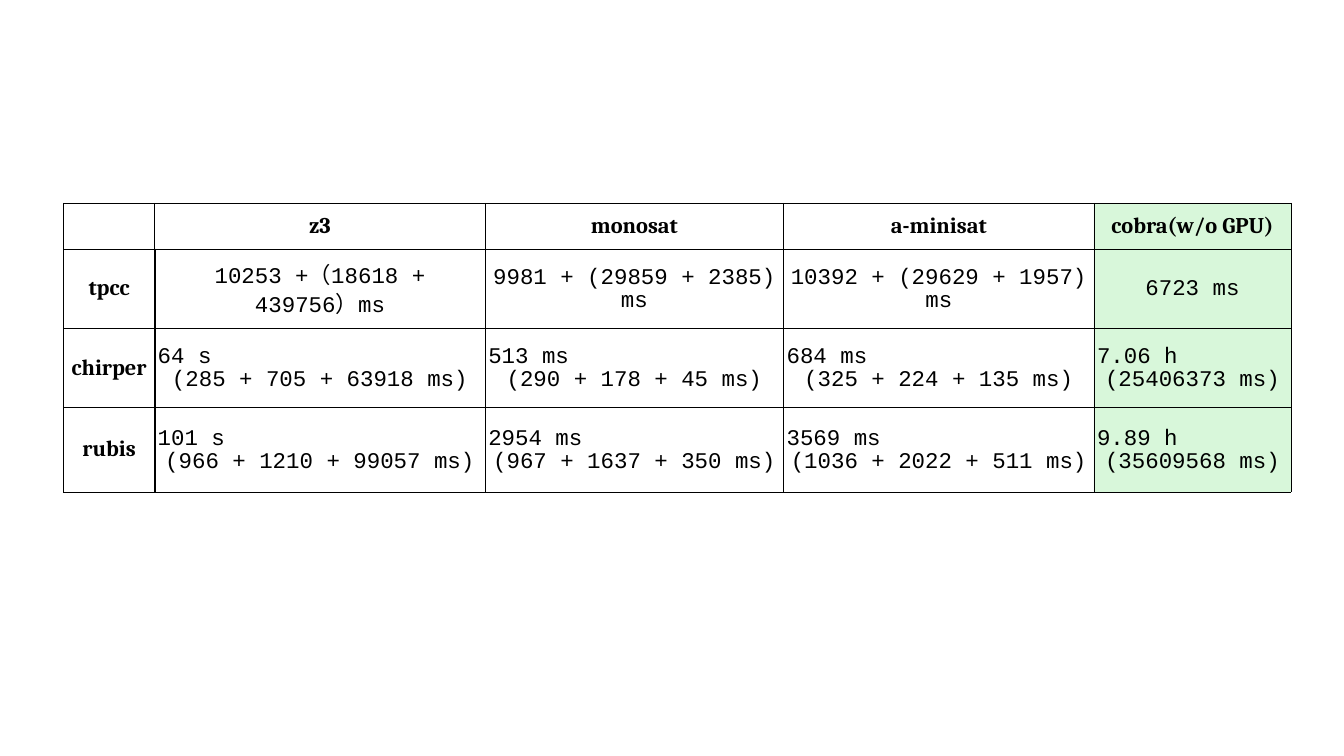
from lxml.etree import SubElement
from pptx import Presentation
from pptx.dml.color import RGBColor
from pptx.enum.text import MSO_ANCHOR, PP_ALIGN
from pptx.oxml import parse_xml
from pptx.oxml.ns import nsdecls, qn
from pptx.util import Inches, Pt

COLORS = {"ink": "000000", "highlight": "7EE587"}
HIGHLIGHT_OPACITY = 30
COLUMN_WIDTHS = [1.81, 6.56, 5.92, 6.16, 3.91]
ROW_HEIGHTS = [0.92, 1.57, 1.57, 1.67]
TIMINGS = [
    ["", "z3", "monosat", "a-minisat", "cobra(w/o GPU)"],
    ["tpcc", "10253 +（18618 + 439756）ms", "9981 + (29859 + 2385) ms",
     "10392 + (29629 + 1957) ms", "6723 ms"],
    ["chirper", "64 s\n(285 + 705 + 63918 ms)", "513 ms\n(290 + 178 + 45 ms)",
     "684 ms\n(325 + 224 + 135 ms)", "7.06 h\n(25406373 ms)"],
    ["rubis", "101 s\n(966 + 1210 + 99057 ms)", "2954 ms\n(967 + 1637 + 350 ms)",
     "3569 ms\n(1036 + 2022 + 511 ms)", "9.89 h\n(35609568 ms)"],
]


def set_borders(cell, widths):
    properties = cell._tc.get_or_add_tcPr()
    for index, (side, width) in enumerate(widths.items()):
        properties.insert(index, parse_xml(
            f'<a:ln{side} {nsdecls("a")} w="{Pt(width)}"><a:solidFill>'
            f'<a:srgbClr val="{COLORS["ink"]}"/></a:solidFill></a:ln{side}>'))


def fill_cell(cell, highlighted):
    if not highlighted:
        cell.fill.background()
        return
    cell.fill.solid()
    cell.fill.fore_color.rgb = RGBColor.from_string(COLORS["highlight"])
    color = cell._tc.tcPr.find(".//" + qn("a:srgbClr"))
    SubElement(color, qn("a:alpha"), val=str(HIGHLIGHT_OPACITY * 1000))


def write_cell(cell, text, is_heading):
    cell.vertical_anchor = MSO_ANCHOR.MIDDLE
    cell.margin_left = cell.margin_right = Inches(0.06)
    cell.margin_top = cell.margin_bottom = Inches(0.06)
    cell.text = text
    paragraphs = cell.text_frame.paragraphs
    for paragraph in paragraphs:
        paragraph.alignment = PP_ALIGN.LEFT
        paragraph.line_spacing = 0.9
        paragraph.font.size = Pt(32)
        paragraph.font.name = "Cambria" if is_heading else "Courier New"
        paragraph.font.bold = is_heading
        paragraph.font.color.rgb = RGBColor.from_string(COLORS["ink"])
    paragraphs[-1].alignment = PP_ALIGN.CENTER


def add_timing_table(slide, left, top, width, height):
    table = slide.shapes.add_table(
        len(TIMINGS), len(COLUMN_WIDTHS),
        Inches(left), Inches(top), Inches(width), Inches(height)).table
    table.first_row = table.horz_banding = False
    for column, column_width in zip(table.columns, COLUMN_WIDTHS):
        column.width = Inches(column_width)
    for row, row_height in zip(table.rows, ROW_HEIGHTS):
        row.height = Inches(row_height)
    for r, solver_times in enumerate(TIMINGS):
        for c, text in enumerate(solver_times):
            cell = table.cell(r, c)
            write_cell(cell, text, is_heading=r == 0 or c == 0)
            fill_cell(cell, highlighted=c == len(COLUMN_WIDTHS) - 1)
            set_borders(cell, {
                "L": 3 if c == 1 and r > 0 else 1,
                "R": 3 if c == 0 and r > 0 else 1,
                "T": 3 if r == 1 else 1,
                "B": 3 if r == 0 else 1,
            })


def main():
    presentation = Presentation()
    presentation.slide_width = Inches(26.67)
    presentation.slide_height = Inches(15)
    slide = presentation.slides.add_slide(presentation.slide_layouts[6])
    add_timing_table(slide, 1.26, 4.03, sum(COLUMN_WIDTHS), sum(ROW_HEIGHTS))
    presentation.save("out.pptx")


if __name__ == "__main__":
    main()
